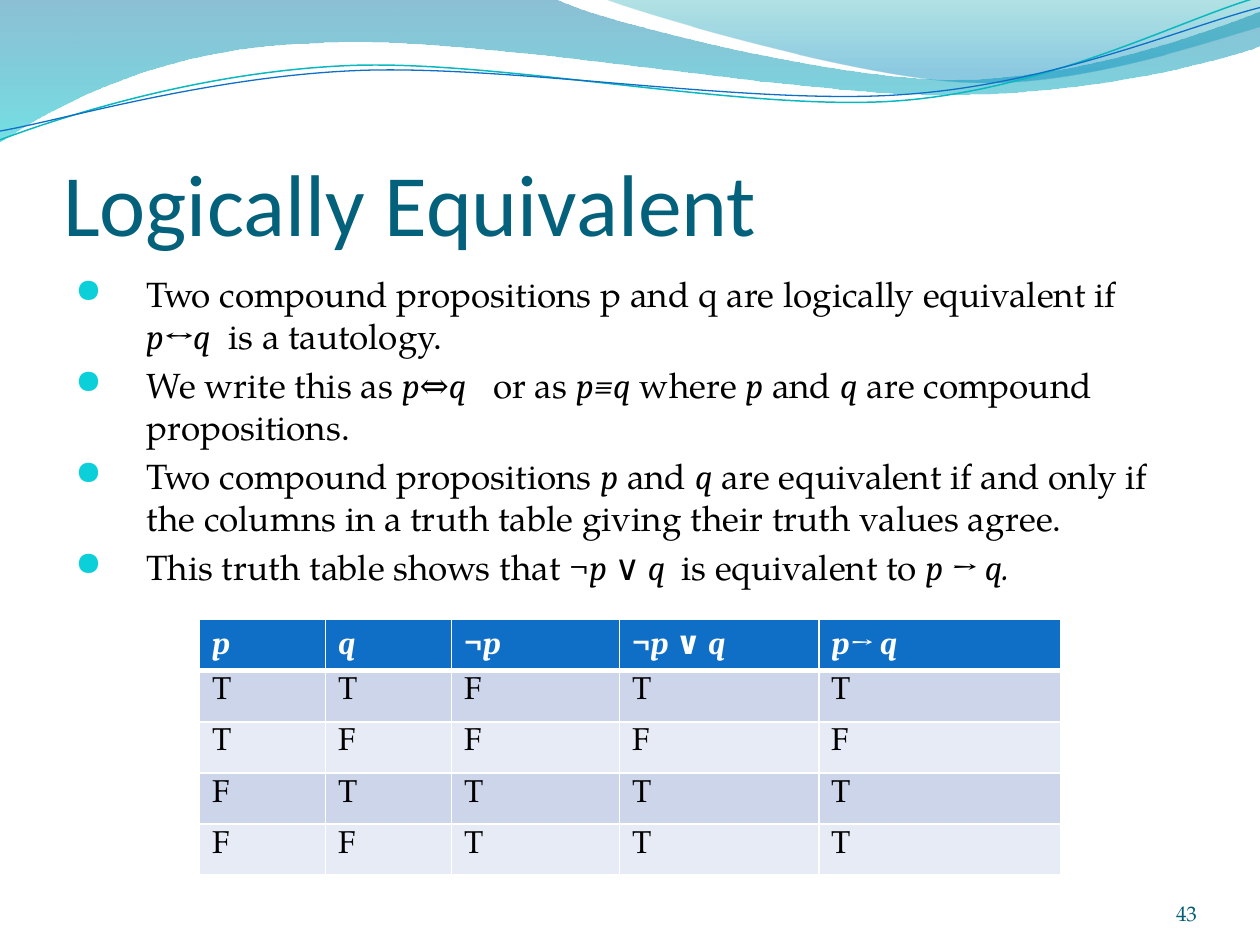
import itertools
import math
import lxml.etree
import pptx
import pptx.dml.color
import pptx.enum.text
import pptx.oxml
import pptx.oxml.ns
import pptx.util

Inches, Pt = pptx.util.Inches, pptx.util.Pt
ANCHOR = pptx.enum.text.MSO_ANCHOR
ALIGN = pptx.enum.text.PP_ALIGN
SERIF, MATH, SANS = "TeX Gyre Pagella", "Cambria", "Calibri"
COLORS = {
    "title": "04617B", "text": "000000", "number": "045D75",
    "bullet": "0BD0D9", "head": "0F6FC6", "white": "FFFFFF",
    "odd": "CCD5EA", "even": "E7EBF5", "teal": "0AB8BF",
    "deep": "0074A1", "aqua": "00C6CF", "sea": "00A1A9", "sky": "008BBF",
}

# Outlines in inches: a pair is a straight step, six numbers are a Bezier curve
BAND = [(0, 0), (4.4, -0.01), (4.76, 0.17, 6.64, 0.63, 7.58, 0.63),
        (8.53, 0.63, 9.58, 0.26, 10, 0.09), (10.01, 0.36),
        (9.83, 0.44, 8.7, 0.76, 7.46, 0.75),
        (6.22, 0.75, 3.82, 0.28, 2.57, 0.34),
        (1.29, 0.36, 0.46, 0.83, -0.01, 1.13), (0, 0)]
CREST = [(4.79, -0.01), (5.09, 0.11, 6.82, 0.62, 7.69, 0.65),
         (8.56, 0.69, 9.61, 0.32, 10, 0.21), (10, 0), (4.79, -0.01)]
UPPER = [(0, 1.11), (0.48, 0.93, 1.58, 0.57, 2.77, 0.52),
         (3.95, 0.47, 5.93, 0.89, 7.13, 0.8),
         (8.33, 0.71, 9.38, 0.15, 9.98, -0.02)]
LOWER = [(0, 1.04), (0.47, 0.96, 1.64, 0.61, 2.83, 0.56),
         (4.03, 0.51, 5.97, 0.84, 7.17, 0.75),
         (8.36, 0.67, 9.41, 0.21, 10, 0.06)]
TILT = 2.7

# Formulas stand between asterisks
POINTS = [
    "Two compound propositions p and q are logically equivalent if *p↔q*  is a tautology.",
    "We write this as *p⇔q*   or as *p≡q* where *p* and *q* are compound propositions.",
    "Two compound propositions *p* and *q* are equivalent if and only if the columns "
    "in a truth table giving their truth values agree.",
    "This truth table shows that *¬p ∨ q  *is equivalent to *p → q.*",
]
HEADS = ["*p*", "*q*", "*¬p*", "*¬p ∨ q*", "*p→ q*"]
ROWS = ["TTFTT", "TFFFF", "FTTTT", "FFTTT"]
WIDTHS = [n / 12 for n in (12, 12, 16, 19, 23)]


def rgb(name):
    return pptx.dml.color.RGBColor.from_string(COLORS[name])


def sub(parent, tag, **attrs):
    return lxml.etree.SubElement(parent, pptx.oxml.ns.qn(tag), attrs)


def write(par, text, size=20, font=SERIF, color="text", bold=False,
          align=None, before=0):
    """Fill a paragraph; formulas are italic with upright operators."""
    par.alignment = align
    par.space_before = Pt(before)
    for index, part in enumerate(text.split("*")):
        formula = index % 2 == 1
        for upright, chars in itertools.groupby(part, lambda c: c in "¬∨"):
            run = par.add_run()
            run.text = "".join(chars)
            run.font.size = Pt(size)
            run.font.name = MATH if formula else font
            run.font.italic = formula and not upright
            run.font.bold = bold
            run.font.color.rgb = rgb(color)


def set_frame(frame, anchor=ANCHOR.TOP, insets=(0.1, 0.05, 0.1, 0.05)):
    frame.word_wrap = True
    frame.vertical_anchor = anchor
    (frame.margin_left, frame.margin_top,
     frame.margin_right, frame.margin_bottom) = map(Inches, insets)
    return frame


def add_box(slide, place, **kind):
    return set_frame(slide.shapes.add_textbox(*map(Inches, place)).text_frame, **kind)


def turn(x, y):
    """Turn a point clockwise by the tilt, about the middle of the curves."""
    cos, sin = math.cos(math.radians(TILT)), math.sin(math.radians(TILT))
    dx, dy = x - 4.99, y - 0.58
    return 4.99 + dx * cos - dy * sin, 0.58 + dx * sin + dy * cos


def add_path(slide, steps, tilted=False):
    """Lay out every point, then join each curve's three into a Bezier."""
    dots = [step[i:i + 2] for step in steps for i in range(0, len(step), 2)]
    if tilted:
        dots = [turn(*dot) for dot in dots]
    first, *rest = [(Inches(x), Inches(y)) for x, y in dots]
    maker = slide.shapes.build_freeform(*first)
    maker.add_line_segments(rest, close=not tilted)
    shape = maker.convert_to_shape()
    shape.shadow.inherit = False
    lines = iter(shape._element.findall(".//" + pptx.oxml.ns.qn("a:lnTo")))
    for step in steps[1:]:
        line = next(lines)
        if len(step) == 6:
            line.tag = pptx.oxml.ns.qn("a:cubicBezTo")
            for other in (next(lines), next(lines)):
                line.append(other[0])
                other.getparent().remove(other)
    return shape


def add_wave(slide, steps, stops):
    """Closed wave with a see-through gradient running downwards."""
    shape = add_path(slide, steps)
    shape.line.fill.background()
    shape.fill.gradient()
    shape.fill.gradient_angle = 270
    for stop, (place, color, _) in zip(shape.fill.gradient_stops, stops):
        stop.position = place
        stop.color.rgb = rgb(color)
    tints = shape._element.spPr.findall(".//" + pptx.oxml.ns.qn("a:srgbClr"))
    for tint, (_, _, alpha) in zip(tints, stops):
        sub(tint, "a:alpha", val=str(alpha * 1000))


def add_curve(slide, steps, color, width):
    shape = add_path(slide, steps, tilted=True)
    shape.rotation = 360 - TILT
    shape.fill.background()
    shape.line.color.rgb = rgb(color)
    shape.line.width = Pt(width)


def add_list(slide, place, items):
    frame = add_box(slide, place)
    for index, item in enumerate(items):
        par = frame.add_paragraph() if index else frame.paragraphs[0]
        props = par._p.get_or_add_pPr()
        props.set("marL", str(Pt(40.5)))
        props.set("indent", str(Pt(-40.5)))
        sub(sub(props, "a:buClr"), "a:srgbClr", val=COLORS["bullet"])
        sub(props, "a:buSzPct", val="95000")
        sub(props, "a:buFont", typeface="OpenSymbol")
        sub(props, "a:buChar", char="●")
        write(par, item, before=4 if index else 0)


def set_cell(cell, text, fill, edges, **style):
    props = cell._tc.get_or_add_tcPr()
    for side, width in edges.items():
        line = sub(props, "a:ln" + side, w=str(Pt(width)))
        sub(sub(line, "a:solidFill"), "a:srgbClr", val=COLORS["white"])
    cell.fill.solid()
    cell.fill.fore_color.rgb = rgb(fill)
    write(cell.text_frame.paragraphs[0], text, size=18, **style)


def add_grid(slide, place):
    rows = [HEADS] + ROWS
    table = slide.shapes.add_table(len(rows), len(WIDTHS),
                                   *map(Inches, place)).table
    for column, width in zip(table.columns, WIDTHS):
        column.width = Inches(width)
    for r, row in enumerate(rows):
        fill = "head" if r == 0 else "odd" if r % 2 else "even"
        edges = {"L": 1, "R": 1, "T": 3 if r == 1 else 1, "B": 3 if r == 0 else 1}
        for c, text in enumerate(row):
            set_cell(table.cell(r, c), text, fill, edges, bold=r == 0,
                     color="white" if r == 0 else "text")


def main():
    deck = pptx.Presentation()
    deck.slide_width, deck.slide_height = Inches(10), Inches(7.5)
    slide = deck.slides.add_slide(deck.slide_layouts[5])

    # Waves along the top
    add_wave(slide, BAND, [(0, "deep", 45), (1, "aqua", 55)])
    add_wave(slide, CREST, [(0, "sea", 30), (0.8, "sky", 45)])
    add_curve(slide, UPPER, "teal", 0.85)
    add_curve(slide, LOWER, "head", 0.75)

    # Title, in front of the waves
    title = slide.shapes.title
    title.left, title.top, title.width, title.height = map(
        Inches, (0.5, 0.77, 9, 1.25))
    slide.shapes._spTree.append(title._element)
    frame = set_frame(title.text_frame, ANCHOR.BOTTOM, (0, 0.05, 0, 0))
    write(frame.paragraphs[0], "Logically Equivalent", size=50, font=SANS,
          color="title", align=ALIGN.LEFT)

    # Bullets, truth table and slide number
    add_list(slide, (0.5, 2.11, 9, 4.8), POINTS)
    add_grid(slide, (19 / 12, 59 / 12, sum(WIDTHS), 2.03))
    frame = add_box(slide, (8.67, 6.95, 0.83, 0.4), anchor=ANCHOR.BOTTOM,
                    insets=(0, 0, 0, 0))
    write(frame.paragraphs[0], "43", size=12, color="number", align=ALIGN.RIGHT)

    deck.save("out.pptx")


if __name__ == "__main__":
    main()
